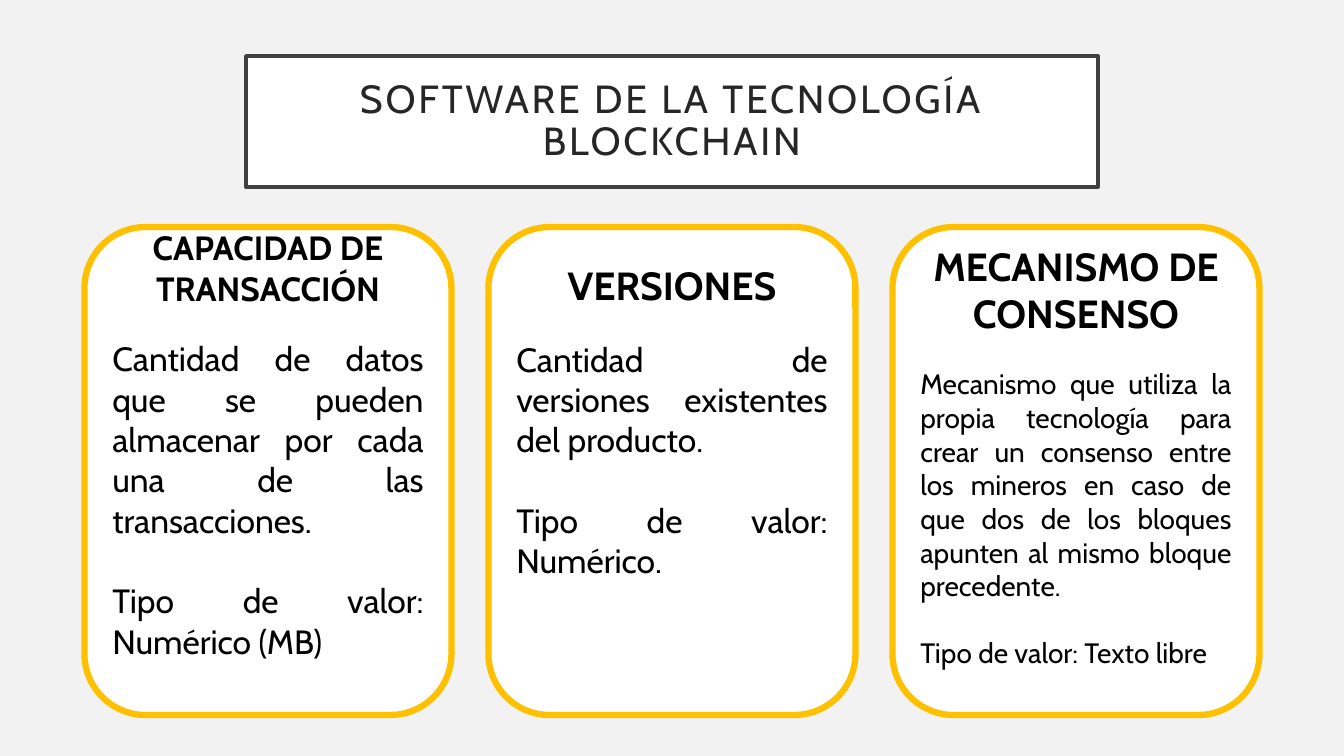
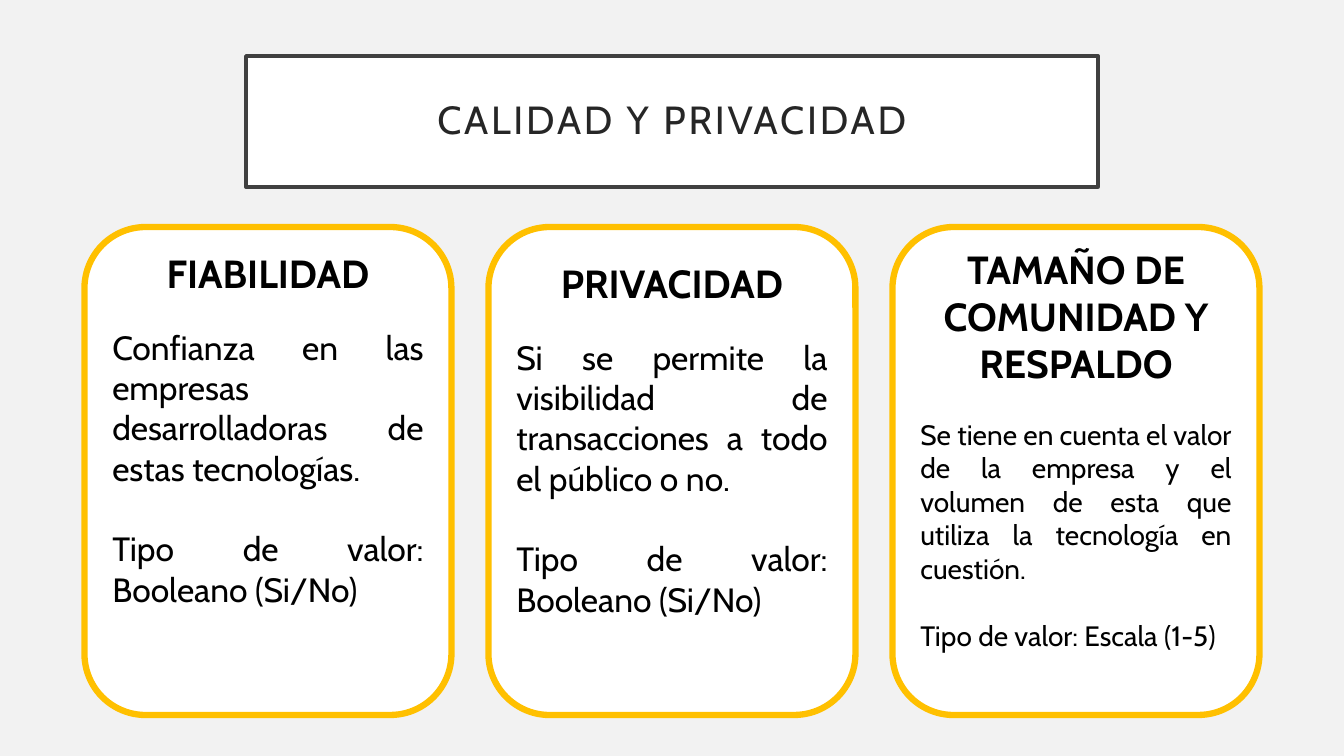
from pptx import Presentation
from pptx.dml.color import RGBColor
from pptx.enum.shapes import MSO_SHAPE
from pptx.enum.text import MSO_ANCHOR, MSO_AUTO_SIZE, PP_ALIGN
from pptx.util import Emu, Pt

ROUNDED = MSO_SHAPE.ROUNDED_RECTANGLE
MIDDLE = MSO_ANCHOR.MIDDLE
CENTER, JUSTIFY = PP_ALIGN.CENTER, PP_ALIGN.JUSTIFY

# Per card: heading, heading size, description, value type, body size,
# and how far (px) the text sits above the middle of the card
SLIDES = [
    ("SOFTWARE DE LA TECNOLOGÍA BLOCKCHAIN", [
        ("CAPACIDAD DE TRANSACCIÓN", 24,
         "Cantidad de datos que se pueden almacenar por cada una de las transacciones.",
         "Tipo de valor: Numérico (MB)", 24, 27),
        ("VERSIONES", 28,
         "Cantidad de versiones existentes del producto.",
         "Tipo de valor: Numérico.", 24, 50),
        ("MECANISMO DE CONSENSO", 28,
         "Mecanismo que utiliza la propia tecnología para crear un consenso entre los "
         "mineros en caso de que dos de los bloques apunten al mismo bloque precedente.",
         "Tipo de valor: Texto libre", 20, 15),
    ]),
    ("CALIDAD Y PRIVACIDAD", [
        ("FIABILIDAD", 28,
         "Confianza en las empresas desarrolladoras de estas tecnologías.",
         "Tipo de valor: Booleano (Si/No)", 24, 42),
        ("PRIVACIDAD", 28,
         "Si se permite la visibilidad de transacciones a todo el público o no.",
         "Tipo de valor: Booleano (Si/No)", 24, 32),
        ("TAMAÑO DE COMUNIDAD Y RESPALDO", 28,
         "Se tiene en cuenta el valor de la empresa y el volumen de esta que utiliza "
         "la tecnología en cuestión.",
         "Tipo de valor: Escala (1-5)", 20, 22),
    ]),
]

FONT = "Cabin"
BACKGROUND = RGBColor(0xF2, 0xF2, 0xF2)
WHITE = RGBColor(0xFF, 0xFF, 0xFF)
BLACK = RGBColor(0x00, 0x00, 0x00)
TITLE_TEXT = RGBColor(0x26, 0x26, 0x26)
TITLE_LINE = RGBColor(0x40, 0x40, 0x40)
AMBER = RGBColor(0xFF, 0xC0, 0x00)

SLIDE_W, SLIDE_H = 1344, 756
TITLE_Y, TITLE_W, TITLE_H, TITLE_INSET = 56, 852, 131, 20
CARD_Y, CARD_W, CARD_H, CARD_GAP = 227, 367, 488, 37
CARD_INSET = 5
HEADING_GAP = 21.6   # points
LINE_HEIGHT = 1.2    # of the text size


def px(n):
    return Emu(round(n * 914400 / 100.8))


def style_box(sp, line_color, line_width):
    sp.fill.solid()
    sp.fill.fore_color.rgb = WHITE
    sp.line.color.rgb = line_color
    sp.line.width = Pt(line_width)
    tf = sp.text_frame
    tf.word_wrap = True
    tf.auto_size = MSO_AUTO_SIZE.NONE
    tf.vertical_anchor = MIDDLE
    return tf


def style_paragraph(p, align, size, color, bold=False, gap=0):
    p.alignment = align
    p.space_before, p.space_after = Pt(0), Pt(gap)
    for r in p.runs:
        r.font.name = FONT
        r.font.size = Pt(size)
        r.font.bold = bold
        r.font.color.rgb = color


def add_title(s, text):
    sp = s.shapes.title
    sp.left, sp.top = px((SLIDE_W - TITLE_W) / 2), px(TITLE_Y)
    sp.width, sp.height = px(TITLE_W), px(TITLE_H)
    tf = style_box(sp, TITLE_LINE, 2.5)
    tf.margin_left = tf.margin_right = px(TITLE_INSET)
    tf.margin_top = tf.margin_bottom = px(TITLE_INSET)
    tf.text = text
    p = tf.paragraphs[0]
    style_paragraph(p, CENTER, 28, TITLE_TEXT)
    p.line_spacing = 0.9
    p.runs[0]._r.get_or_add_rPr().set("spc", "200")


def add_card(s, x, heading, heading_size, description, value_type, body_size, lift):
    sp = s.shapes.add_shape(ROUNDED, px(x), px(CARD_Y), px(CARD_W), px(CARD_H))
    sp.shadow.inherit = False
    tf = style_box(sp, AMBER, 4.5)
    tf.margin_top = px(CARD_INSET)
    tf.margin_bottom = px(CARD_INSET + 2 * lift)
    tf.text = "\n".join((heading, description, value_type))
    title, body, kind = tf.paragraphs
    style_paragraph(title, CENTER, heading_size, BLACK, bold=True, gap=HEADING_GAP)
    style_paragraph(body, JUSTIFY, body_size, BLACK, gap=body_size * LINE_HEIGHT)
    style_paragraph(kind, JUSTIFY, body_size, BLACK)


def main():
    prs = Presentation()
    prs.slide_width, prs.slide_height = px(SLIDE_W), px(SLIDE_H)
    fill = prs.slide_master.background.fill
    fill.solid()
    fill.fore_color.rgb = BACKGROUND
    title_only = prs.slide_layouts.get_by_name("Title Only")

    for title, cards in SLIDES:
        s = prs.slides.add_slide(title_only)
        add_title(s, title)
        step = CARD_W + CARD_GAP
        left = (SLIDE_W - len(cards) * step + CARD_GAP) / 2
        for i, card in enumerate(cards):
            add_card(s, left + i * step, *card)

    prs.save("out.pptx")


if __name__ == "__main__":
    main()
